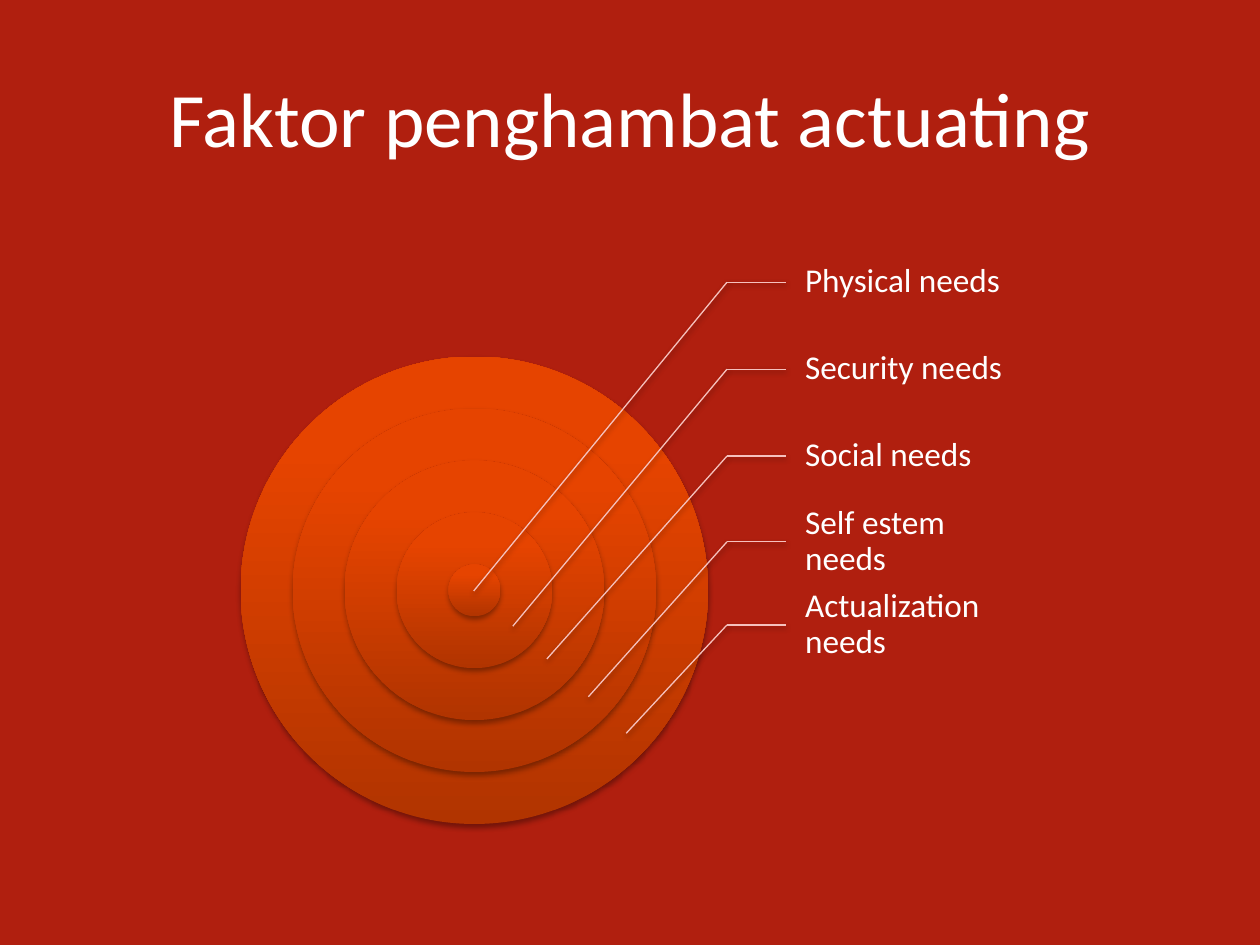
from copy import deepcopy

from lxml import etree
from pptx import Presentation
from pptx.dml.color import RGBColor
from pptx.enum.shapes import MSO_CONNECTOR, MSO_SHAPE
from pptx.enum.text import MSO_ANCHOR, PP_ALIGN
from pptx.oxml.ns import qn
from pptx.util import Inches, Pt

OVAL = MSO_SHAPE.OVAL
STRAIGHT = MSO_CONNECTOR.STRAIGHT
MIDDLE = MSO_ANCHOR.MIDDLE
LEFT, CENTER = PP_ALIGN.LEFT, PP_ALIGN.CENTER

TITLE = "Faktor penghambat actuating"
# Label, height of its leader, and the point in the ring it leads to
NEEDS = [
    ("Physical needs", 2.24, (3.76, 4.69)),
    ("Security needs", 2.93, (4.07, 4.97)),
    ("Social needs", 3.62, (4.34, 5.23)),
    ("Self estem needs", 4.30, (4.67, 5.53)),
    ("Actualization needs", 4.96, (4.97, 5.82)),
]

THEME = {
    "font": "Calibri",
    "title_size": Pt(44),
    "label_size": Pt(19),
    "background": RGBColor.from_string("B01F0F"),
    "text": RGBColor.from_string("FFFFFF"),
    "leader": RGBColor.from_string("F6C1BD"),
    "ring": [(0, "B13400"), (0.8, "E64400"), (1, "E74400")],
    "ring_shadow": (1.8, 35),
    "leader_shadow": (1.6, 38),
}

CENTER_X, CENTER_Y = 3.765, 4.685
OUTER_DIAMETER = 3.71
ELBOW_X, LABEL_X = 5.77, 6.24
LABEL_WIDTH, LABEL_HEIGHT = 1.86, 0.66


def add_shadow(shape, distance, opacity):
    """Give a shape a soft shadow that falls straight down."""
    effects = etree.SubElement(shape._element.spPr, qn("a:effectLst"))
    shadow = etree.SubElement(
        effects, qn("a:outerShdw"), blurRad=str(Pt(3.1)), dist=str(Pt(distance)),
        dir="5400000", rotWithShape="0")
    color = etree.SubElement(shadow, qn("a:srgbClr"), val="000000")
    etree.SubElement(color, qn("a:alpha"), val=str(opacity * 1000))


def style_text(paragraph, size, alignment):
    """Set the type of one paragraph."""
    paragraph.alignment = alignment
    paragraph.font.name = THEME["font"]
    paragraph.font.size = size
    paragraph.font.color.rgb = THEME["text"]


def add_title(page):
    """Place and format the title placeholder."""
    title = page.shapes.title
    title.left, title.top = Inches(0.5), Inches(0.3)
    title.width, title.height = Inches(9), Inches(1.25)
    title.text_frame.text = TITLE
    title.text_frame.vertical_anchor = MIDDLE
    style_text(title.text_frame.paragraphs[0], THEME["title_size"], CENTER)


def add_ring(shapes, diameter):
    """Draw one shaded disc around the common centre."""
    ring = shapes.add_shape(
        OVAL, Inches(CENTER_X - diameter / 2), Inches(CENTER_Y - diameter / 2),
        Inches(diameter), Inches(diameter))
    ring.fill.gradient()
    ring.fill.gradient_angle = 90
    stop_list = ring._element.spPr.find(".//" + qn("a:gsLst"))
    stop_list.append(deepcopy(stop_list[-1]))
    for stop, (position, color) in zip(ring.fill.gradient_stops, THEME["ring"]):
        stop.position = position
        stop.color.rgb = RGBColor.from_string(color)
    ring.line.fill.background()
    add_shadow(ring, *THEME["ring_shadow"])


def add_leader(shapes, start, end):
    """Draw one thin straight piece of a leader."""
    leader = shapes.add_connector(STRAIGHT, *map(Inches, start + end))
    leader.line.color.rgb = THEME["leader"]
    leader.line.width = Pt(0.75)
    add_shadow(leader, *THEME["leader_shadow"])


def add_label(shapes, text, middle):
    """Write a label centred on the height of its leader."""
    box = shapes.add_textbox(
        Inches(LABEL_X), Inches(middle - LABEL_HEIGHT / 2),
        Inches(LABEL_WIDTH), Inches(LABEL_HEIGHT))
    frame = box.text_frame
    frame.word_wrap = True
    frame.vertical_anchor = MIDDLE
    frame.margin_left = Inches(0.15)
    frame.margin_top = frame.margin_right = frame.margin_bottom = Inches(0.03)
    frame.text = text
    paragraph = frame.paragraphs[0]
    paragraph.line_spacing = 0.9
    paragraph.space_after = Pt(6.65)
    style_text(paragraph, THEME["label_size"], LEFT)


def add_target(page):
    """Build the rings from the outside in, then their labels."""
    shapes = page.shapes.add_group_shape().shapes
    widest = 2 * len(NEEDS) - 1
    for share in range(widest, 0, -2):
        add_ring(shapes, OUTER_DIAMETER * share / widest)
    for text, middle, tip in NEEDS:
        elbow = (ELBOW_X, middle)
        add_label(shapes, text, middle)
        add_leader(shapes, elbow, (LABEL_X, middle))
        add_leader(shapes, elbow, tip)


def main():
    """Build and save the deck."""
    deck = Presentation()
    deck.slide_width, deck.slide_height = Inches(10), Inches(7.5)
    page = deck.slides.add_slide(deck.slide_layouts.get_by_name("Title Only"))
    page.background.fill.solid()
    page.background.fill.fore_color.rgb = THEME["background"]
    add_title(page)
    add_target(page)
    deck.save("out.pptx")


main()
